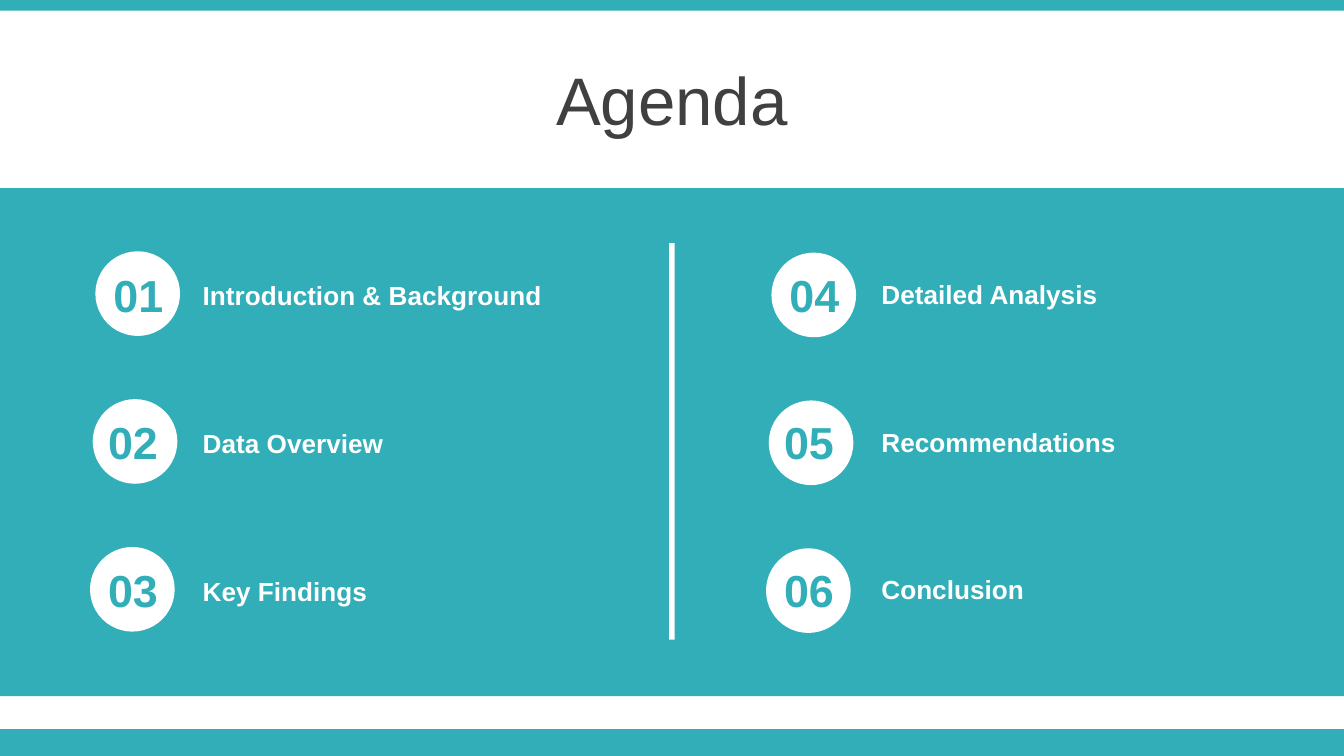
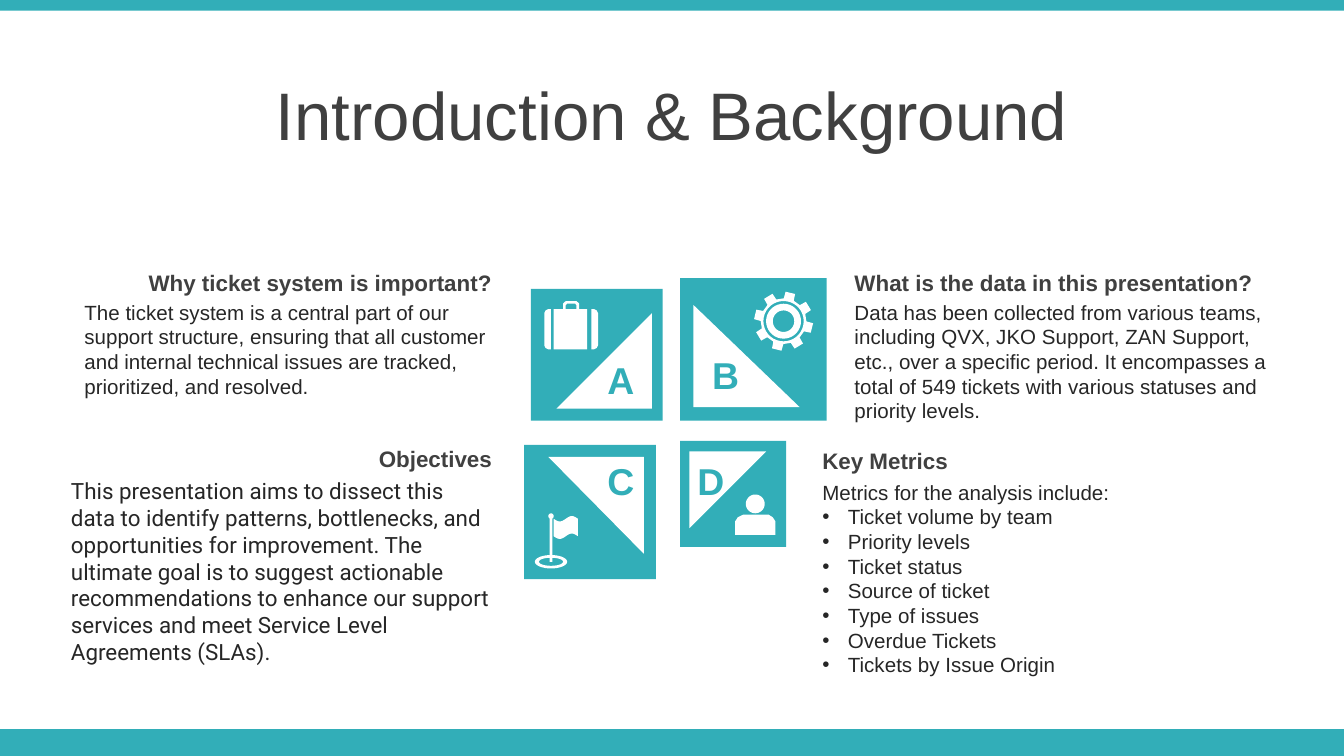
from math import cos, pi, radians, sin

from lxml.etree import SubElement
from pptx import Presentation
from pptx.dml.color import RGBColor
from pptx.enum.shapes import MSO_SHAPE as Shape
from pptx.enum.text import MSO_ANCHOR as Anchor, MSO_AUTO_SIZE as AutoSize, PP_ALIGN as Align
from pptx.oxml.ns import qn
from pptx.util import Inches, Pt

TEAL = RGBColor(0x32, 0xAE, 0xB8)
WHITE = RGBColor(0xFF, 0xFF, 0xFF)
HEADING_GREY = RGBColor(0x40, 0x40, 0x40)
BODY_GREY = RGBColor(0x26, 0x26, 0x26)
WIDTH = 10
HEIGHT = WIDTH * 9 / 16
FOOTER_HEIGHT = 0.2
BULLET_INDENT = Inches(0.19)


def add_block(page, kind, frame, color, rotation=0):
    """Add a plain filled shape; frame is left, top, width, height in inches."""
    block = page.shapes.add_shape(kind, *map(Inches, frame))
    block.rotation = rotation
    block.shadow.inherit = False
    block.fill.solid()
    block.fill.fore_color.rgb = color
    block.line.fill.background()


def add_text(page, frame, lines, size, color, bold=False, align=Align.LEFT, font="Arial"):
    """Add a text box; every line after the first is a bullet."""
    box = page.shapes.add_textbox(*map(Inches, frame))
    text_frame = box.text_frame
    text_frame.word_wrap = True
    text_frame.auto_size = AutoSize.SHAPE_TO_FIT_TEXT
    text_frame.text = "\n".join(lines)
    for number, para in enumerate(text_frame.paragraphs):
        para.alignment = align
        if number:
            properties = para._p.get_or_add_pPr()
            properties.set("marL", str(BULLET_INDENT))
            properties.set("indent", str(-BULLET_INDENT))
            SubElement(properties, qn("a:buFont")).set("typeface", "Arial")
            SubElement(properties, qn("a:buChar")).set("char", "•")
        para.font.name = font
        para.font.size = Pt(size)
        para.font.bold = bold
        para.font.color.rgb = color


deck = Presentation()
deck.slide_width, deck.slide_height = Inches(WIDTH), Inches(HEIGHT)

# Shared bands and titles
pages = []
for heading, title_top in (("Agenda", 0.42), ("Introduction & Background", 0.53)):
    page = deck.slides.add_slide(deck.slide_layouts[5])
    add_block(page, Shape.RECTANGLE, (0, HEIGHT - FOOTER_HEIGHT, WIDTH, FOOTER_HEIGHT), TEAL)
    add_block(page, Shape.RECTANGLE, (0, 0, WIDTH, 0.08), TEAL)
    title = page.shapes.title
    title.left, title.top = 0, Inches(title_top)
    title.width, title.height = Inches(WIDTH), Inches(0.63)
    title.text_frame.text = heading
    title.text_frame.vertical_anchor = Anchor.MIDDLE
    title.text_frame.auto_size = AutoSize.NONE
    para = title.text_frame.paragraphs[0]
    para.alignment = Align.CENTER
    para.space_before = Pt(7.2)
    para.font.name = "Arial"
    para.font.size = Pt(36)
    para.font.color.rgb = HEADING_GREY
    pages.append(page)
agenda, introduction = pages

# Agenda: two columns of three numbered topics
TOPICS = ("Introduction & Background", "Data Overview", "Key Findings",
          "Detailed Analysis", "Recommendations", "Conclusion")
COLUMN_STEP, ROW_STEP, ROW_DRIFT = 5.03, 1.1, 0.02
add_block(agenda, Shape.RECTANGLE, (0, 1.4, WIDTH, 3.78), TEAL)
add_block(agenda, Shape.RECTANGLE, (4.98, 1.81, 0.04, 2.95), WHITE)
for index, topic in enumerate(TOPICS):
    column, row = divmod(index, 3)
    left, top = column * COLUMN_STEP, row * ROW_STEP
    number_left = 0.64 if row else 0.68
    add_block(agenda, Shape.OVAL,
              (0.71 + left - row * ROW_DRIFT, 1.87 + top + column * 0.01, 0.63, 0.63), WHITE)
    add_text(agenda, (1.41 + left + column * 0.02, 2.03 + top - column * 0.01, 2.91, 0.34),
             [topic], 14, WHITE, bold=True)
    add_text(agenda, (number_left + left, 1.94 + top, 0.7, 0.5),
             [f"{index + 1:02}"], 24, TEAL, bold=True, align=Align.CENTER)

# Introduction: four lettered tiles, each with a triangle
TILES = (
    ("A", (3.95, 2.15, 0.98, 0.98), (4.14, 2.33, 0.71, 0.71), 270, (4.4, 2.61)),
    ("B", (5.06, 2.07, 1.09, 1.06), (5.16, 2.27, 0.79, 0.76), 0, (5.18, 2.57)),
    ("C", (3.9, 3.31, 0.98, 1), (4.08, 3.4, 0.71, 0.72), 180, (4.4, 3.36)),
    ("D", (5.06, 3.28, 0.79, 0.79), (5.13, 3.36, 0.57, 0.57), 90, (5.07, 3.36)),
)
for letter, tile, triangle, rotation, corner in TILES:
    add_block(introduction, Shape.RECTANGLE, tile, TEAL)
    add_block(introduction, Shape.RIGHT_TRIANGLE, triangle, WHITE, rotation)
    add_text(introduction, (*corner, 0.44, 0.44), [letter], 20, TEAL, bold=True, align=Align.CENTER)

# Icons: each has polygons (points) and ellipses (centre x, centre y, radius x, radius y)
GEAR_X, GEAR_Y = 5.83, 2.39
gear_teeth = [
    (GEAR_X + radius * cos(radians(angle)), GEAR_Y + radius * sin(radians(angle)))
    for tooth in range(8)
    for offset, radius in ((-13, 0.17), (-9.5, 0.22), (9.5, 0.22), (13, 0.17))
    for angle in [tooth * 45 - 76.5 + offset]
]
flag_top = [(4.12 + 0.18 * step / 16, 3.86 + 0.02 * sin(2 * pi * step / 16)) for step in range(17)]
flag_bottom = [(x, y + 0.13) for x, y in reversed(flag_top)]
ICONS = {
    "suitcase": ([
        [(4.1, 2.3), (4.1, 2.6), (4.08, 2.6), (4.06, 2.59), (4.05, 2.57),
         (4.05, 2.33), (4.06, 2.31), (4.08, 2.3)],
        [(4.4, 2.3), (4.42, 2.3), (4.44, 2.31), (4.45, 2.33),
         (4.45, 2.57), (4.44, 2.59), (4.42, 2.6), (4.4, 2.6)],
        [(4.12, 2.6), (4.12, 2.3), (4.19, 2.3), (4.19, 2.26), (4.21, 2.24), (4.29, 2.24),
         (4.31, 2.26), (4.31, 2.3), (4.37, 2.3), (4.37, 2.6)],
        [(4.21, 2.3), (4.21, 2.27), (4.22, 2.26), (4.28, 2.26), (4.29, 2.27), (4.29, 2.3)],
    ], []),
    "gear": ([gear_teeth], [(GEAR_X, GEAR_Y, radius, radius) for radius in (0.15, 0.13, 0.08)]),
    "flag": ([
        flag_top + flag_bottom,
        [(4.09, 3.86), (4.11, 3.86), (4.11, 4.13), (4.09, 4.13)],
        [(4.09, 4.15), (4.11, 4.15), (4.11, 4.18), (4.09, 4.18)],
    ], [(4.1, 3.84, 0.02, 0.02), (4.1, 4.18, 0.12, 0.05), (4.1, 4.18, 0.09, 0.03)]),
    "person": ([
        [(5.47, 3.98), (5.47, 3.88), (5.49, 3.85), (5.53, 3.83),
         (5.72, 3.83), (5.75, 3.85), (5.77, 3.88), (5.77, 3.98)],
    ], [(5.62, 3.75, 0.07, 0.07)]),
}
for polygons, ellipses in ICONS.values():
    rounds = [
        [(x + rx * cos(pi * step / 18), y + ry * sin(pi * step / 18)) for step in range(36)]
        for x, y, rx, ry in ellipses
    ]
    contours = [[(Inches(x), Inches(y)) for x, y in outline] for outline in polygons + rounds]
    builder = introduction.shapes.build_freeform(*contours[0][0])
    for contour in contours:
        if contour is not contours[0]:
            builder.move_to(*contour[0])
        builder.add_line_segments(contour[1:], close=True)
    icon = builder.convert_to_shape()
    icon.shadow.inherit = False
    icon.fill.solid()
    icon.fill.fore_color.rgb = WHITE
    icon.line.fill.background()

# Introduction: a heading and a body beside each tile
SECTIONS = (
    ("Why ticket system is important?", (0.53, 1.95, 3.23, 0.3), Align.RIGHT,
     (0.53, 2.18, 3.23, 0.84), 11, "Arial",
     ["The ticket system is a central part of our support structure, ensuring that all customer "
      "and internal technical issues are tracked, prioritized, and resolved."]),
    ("Objectives", (0.43, 3.26, 3.33, 0.3), Align.RIGHT,
     (0.43, 3.5, 3.33, 1.51), 12, "Roboto",
     ["This presentation aims to dissect this data to identify patterns, bottlenecks, and "
      "opportunities for improvement. The ultimate goal is to suggest actionable recommendations "
      "to enhance our support services and meet Service Level Agreements (SLAs)."]),
    ("What is the data in this presentation?", (6.26, 1.95, 3.47, 0.5), Align.LEFT,
     (6.26, 2.18, 3.47, 1.03), 11, "Arial",
     ["Data has been collected from various teams, including QVX, JKO Support, ZAN Support, "
      "etc., over a specific period. It encompasses a total of 549 tickets with various "
      "statuses and priority levels."]),
    ("Key Metrics", (6.02, 3.28, 3.93, 0.3), Align.LEFT,
     (6.02, 3.52, 3.93, 1.58), 11, "Arial",
     ["Metrics for the analysis include:", "Ticket volume by team", "Priority levels",
      "Ticket status", "Source of ticket", "Type of issues", "Overdue Tickets",
      "Tickets by Issue Origin"]),
)
for heading, heading_frame, align, body_frame, size, font, lines in SECTIONS:
    add_text(introduction, body_frame, lines, size, BODY_GREY, font=font)
    add_text(introduction, heading_frame, [heading], 12, HEADING_GREY, bold=True, align=align)

deck.save("out.pptx")
